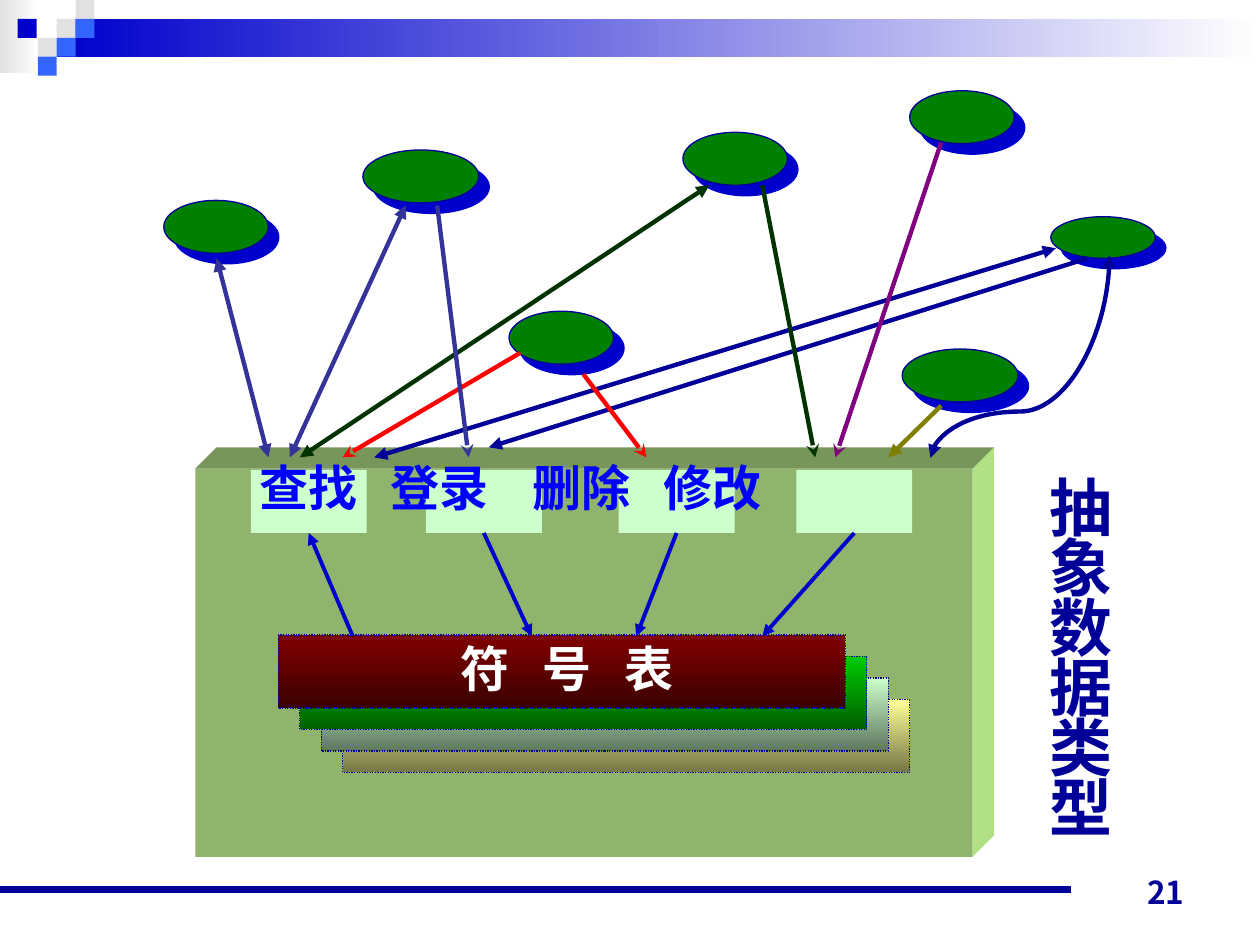
from lxml import etree
from pptx import Presentation, util as u
from pptx.dml.color import RGBColor
from pptx.enum import dml, shapes, text
from pptx.oxml.ns import qn

NAVY = RGBColor(0x00, 0x00, 0x99)
BLUE = RGBColor(0x00, 0x00, 0xCC)
TEXT_BLUE = RGBColor(0x00, 0x00, 0xFF)
SKY = RGBColor(0x33, 0x66, 0xFF)
INDIGO = RGBColor(0x33, 0x33, 0x99)
GREY = RGBColor(0xE1, 0xE1, 0xE1)
WHITE = RGBColor(0xFF, 0xFF, 0xFF)
GREEN = RGBColor(0x00, 0x80, 0x00)
DARK_GREEN = RGBColor(0x00, 0x33, 0x00)
MINT = RGBColor(0xCC, 0xFF, 0xCC)
RED = RGBColor(0xFF, 0x00, 0x00)
PURPLE = RGBColor(0x80, 0x00, 0x80)
OLIVE = RGBColor(0x80, 0x80, 0x00)
FRONT = RGBColor(0x90, 0xB4, 0x6D)
TOP = RGBColor(0x78, 0x96, 0x5A)
SIDE = RGBColor(0xB2, 0xE0, 0x85)
LAYERS = [  # back to front: upper and lower colour
    (RGBColor(0xFF, 0xFF, 0x99), RGBColor(0x76, 0x76, 0x47)),
    (MINT, RGBColor(0x5E, 0x76, 0x5E)),
    (RGBColor(0x00, 0xCC, 0x00), RGBColor(0x00, 0x5E, 0x00)),
    (RGBColor(0x80, 0x00, 0x00), RGBColor(0x3B, 0x00, 0x00)),
]
CJK = "Noto Sans CJK SC"


def cm(inches):
    return u.Cm(inches * 2.54)


def set_format(obj, **values):
    for name, value in values.items():
        setattr(obj, name, value)


def add_box(s, box, fill, kind=shapes.MSO_SHAPE.RECTANGLE, angle=0):
    """Add a borderless shape; a pair of colours makes a gradient."""
    sp = s.shapes.add_shape(kind, *map(cm, box))
    sp.shadow.inherit = False
    sp.line.fill.background()
    if isinstance(fill, RGBColor):
        sp.fill.solid()
        sp.fill.fore_color.rgb = fill
    else:
        sp.fill.gradient()
        sp.fill.gradient_angle = angle
        for stop, color in zip(sp.fill.gradient_stops, fill):
            stop.color.rgb = color
    return sp


def outline(sp, dash=None):
    sp.line.color.rgb = NAVY
    set_format(sp.line, width=u.Pt(0.75), dash_style=dash)


def add_face(s, points, color):
    pts = [(cm(x), cm(y)) for x, y in points]
    builder = s.shapes.build_freeform(*pts[0])
    builder.add_line_segments(pts[1:])
    sp = builder.convert_to_shape()
    sp.shadow.inherit = False
    sp.fill.solid()
    sp.fill.fore_color.rgb = color
    sp.line.fill.background()


def add_user(s, box):
    """Add an ellipse with a hard blue shadow."""
    sp = add_box(s, box, GREEN, shapes.MSO_SHAPE.OVAL)
    outline(sp)
    effects = sp._element.spPr.find(qn("a:effectLst"))
    shadow = etree.SubElement(effects, qn("a:outerShdw"), dist=str(u.Pt(8.5)),
                              dir="2700000", algn="ctr", rotWithShape="0")
    etree.SubElement(shadow, qn("a:srgbClr"), val=str(BLUE))


def add_line(s, start, end, color, width=2.5, head=None, tail=None,
             kind=shapes.MSO_CONNECTOR.STRAIGHT):
    cn = s.shapes.add_connector(kind, *map(cm, (*start, *end)))
    cn.line.color.rgb = color
    cn.line.width = u.Pt(width)
    ln = cn.line._get_or_add_ln()
    for tag, arrow in (("a:headEnd", head), ("a:tailEnd", tail)):
        if arrow:
            etree.SubElement(ln, qn(tag), type=arrow)
    etree.SubElement(cn._element.spPr, qn("a:effectLst"))
    return cn


def add_curve(s):
    cn = add_line(s, (7.29, 2.12), (8.9, 3.54), NAVY, head="triangle",
                  tail="triangle", kind=shapes.MSO_CONNECTOR.CURVE)
    cn._element.spPr.find(qn("a:xfrm")).set("rot", "5400000")
    guides = cn._element.spPr.find(qn("a:prstGeom")).get_or_add_avLst()
    etree.SubElement(guides, qn("a:gd"), name="adj1", fmla="val 77100")


def write(sp, words, size, color, font=CJK, spacing=None, tabs=(), frame=None, para=None):
    tf = sp.text_frame
    set_format(tf, **{"word_wrap": True, **(frame or {})})
    p = tf.paragraphs[0]
    if tabs:
        tab_list = etree.SubElement(p._p.get_or_add_pPr(), qn("a:tabLst"))
        for pos in tabs:
            etree.SubElement(tab_list, qn("a:tab"), pos=str(cm(pos)), algn="l")
    set_format(p, **(para or {}))
    r = p.add_run()
    r.text = words
    set_format(r.font, size=u.Pt(size), bold=True, name=font)
    r.font.color.rgb = color
    rPr = r._r.get_or_add_rPr()
    etree.SubElement(rPr, qn("a:ea"), typeface=CJK)
    if spacing:
        rPr.set("spc", str(spacing))


def add_text(s, box, *args, **kwargs):
    write(s.shapes.add_textbox(*map(cm, box)), *args, **kwargs)


def draw_banner(s):
    add_box(s, (0, 0, 0.31, 0.58), (GREY, WHITE))
    add_box(s, (0.45, 0.15, 9.55, 0.3), (BLUE, WHITE))
    for x, y, color in [(0.45, 0.15, GREY), (0.6, 0, GREY), (0.6, 0.15, SKY),
                        (0.3, 0.3, GREY), (0.14, 0.15, BLUE),
                        (0.45, 0.3, SKY), (0.3, 0.45, SKY)]:
        add_box(s, (x, y, 0.15, 0.15), color)


def draw_block(s):
    left, top, right, bottom, depth = 1.55, 3.72, 7.72, 6.8, 0.17
    add_box(s, (left, top, right - left, bottom - top), FRONT)
    back_top, back_right = top - depth, right + depth
    add_face(s, [(left, top), (left + depth, back_top),
                 (back_right, back_top), (right, top)], TOP)
    add_face(s, [(right, top), (back_right, back_top),
                 (back_right, bottom - depth), (right, bottom)], SIDE)


def draw_calls(s):
    """Arrows between the users and the operations."""
    tri, stl = "triangle", "stealth"
    add_curve(s)
    for start, end, color, head, tail in [
        ((1.72, 2.05), (2.13, 3.63), INDIGO, tri, tri),
        ((3.22, 1.63), (2.3, 3.63), INDIGO, tri, tri),
        ((5.63, 1.47), (2.38, 3.63), DARK_GREEN, tri, tri),
        ((4.13, 2.8), (2.72, 3.63), RED, None, stl),
        ((8.38, 1.97), (2.97, 3.63), NAVY, tri, tri),
        ((3.47, 1.63), (3.72, 3.63), INDIGO, None, stl),
        ((8.63, 2.05), (3.88, 3.55), NAVY, None, tri),
        ((4.63, 2.97), (5.13, 3.63), RED, None, stl),
        ((6.05, 1.47), (6.47, 3.63), DARK_GREEN, None, stl),
        ((7.47, 1.13), (6.63, 3.63), PURPLE, None, stl),
        ((7.47, 3.22), (7.05, 3.63), OLIVE, None, tri),
    ]:
        add_line(s, start, end, color, head=head, tail=tail)


def draw_symbol_table(s):
    for i, colors in enumerate(LAYERS):
        sp = add_box(s, (2.72 - i * 0.17, 5.55 - i * 0.17, 4.5, 0.58), colors, angle=270)
        outline(sp, dml.MSO_LINE.ROUND_DOT)
    write(sp, "符 号 表", 28, WHITE, spacing=620,
          frame={"vertical_anchor": text.MSO_ANCHOR.MIDDLE, "margin_left": cm(0.18)},
          para={"alignment": text.PP_ALIGN.CENTER, "line_spacing": 0.9})


def draw_accesses(s, operations):
    """Arrows between the operations and the symbol table."""
    for i, (op, x) in enumerate(zip(operations, (2.8, 4.22, 5.05, 6.05))):
        ends = [(op.left / u.Inches(1) + 0.46, 4.23), (x, 5.05)]
        reads = i == 0
        if reads:
            ends.reverse()
        cn = add_line(s, *ends, BLUE, width=2.25, tail="triangle")
        (cn.end_connect if reads else cn.begin_connect)(op, 2)


def main():
    prs = Presentation()
    set_format(prs, slide_width=cm(10), slide_height=cm(7.5))
    s = prs.slides.add_slide(prs.slide_layouts[6])
    draw_banner(s)
    add_line(s, (0, 7.06), (8.5, 7.06), NAVY, width=4.5)
    add_text(s, (7.17, 6.78, 2.33, 0.5), "21", 18, NAVY, font="Noto Sans CJK JP",
             frame={"vertical_anchor": text.MSO_ANCHOR.BOTTOM},
             para={"alignment": text.PP_ALIGN.RIGHT})
    add_text(s, (8.23, 3.79, 0.68, 2.99), "抽象数据类型", 36, NAVY,
             font="Times New Roman", para={"line_spacing": u.Pt(34.3)})
    for box in [(1.3, 1.59, 0.83, 0.42), (2.88, 1.19, 0.92, 0.42),
                (4.04, 2.47, 0.83, 0.42), (5.42, 1.05, 0.83, 0.42),
                (7.16, 2.77, 0.92, 0.42), (7.22, 0.72, 0.83, 0.42),
                (8.34, 1.72, 0.83, 0.33)]:
        add_user(s, box)
    draw_block(s)
    operations = [add_box(s, (x, 3.73, 0.92, 0.5), MINT) for x in (1.99, 3.38, 4.91, 6.32)]
    add_text(s, (1.96, 3.58, 5.4, 0.63), "查找\t登录\t删除\t修改", 28, TEXT_BLUE,
             tabs=(1.04, 2.17, 3.21))
    draw_calls(s)
    draw_symbol_table(s)
    draw_accesses(s, operations)
    prs.save("out.pptx")


if __name__ == "__main__":
    main()
